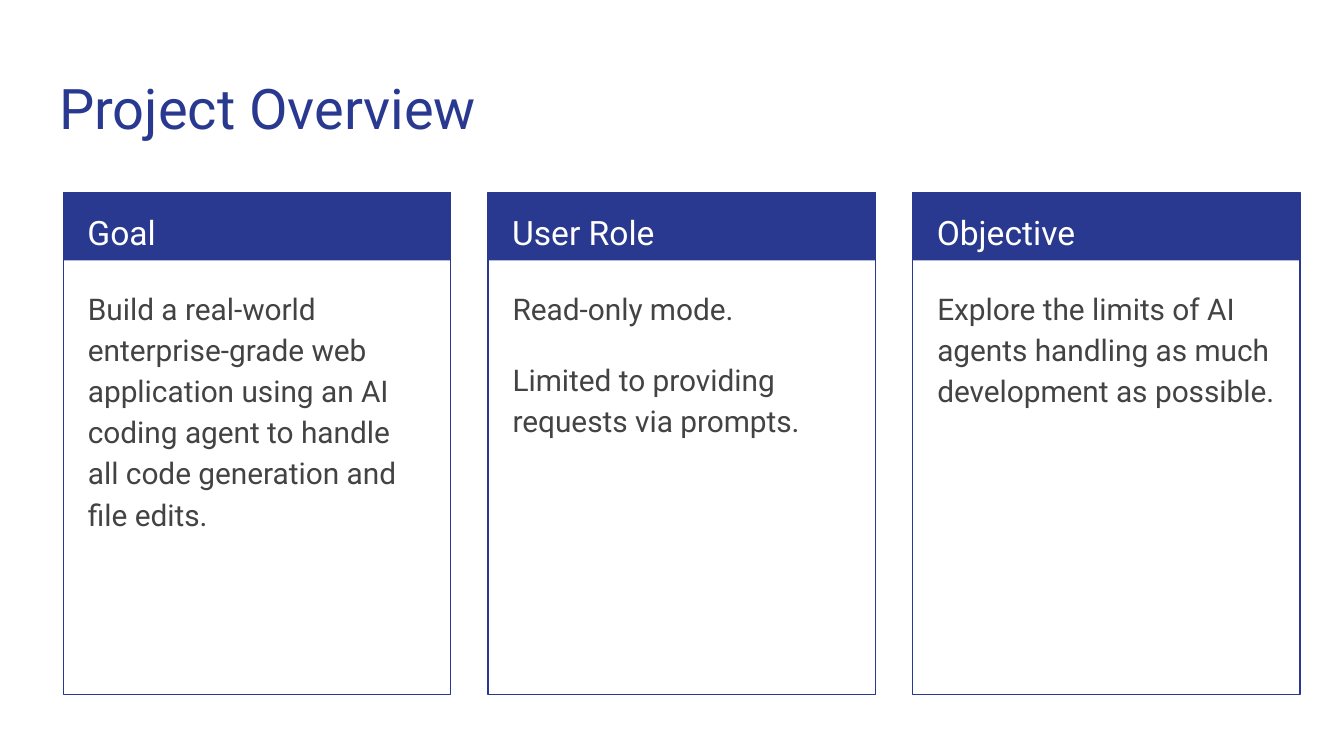
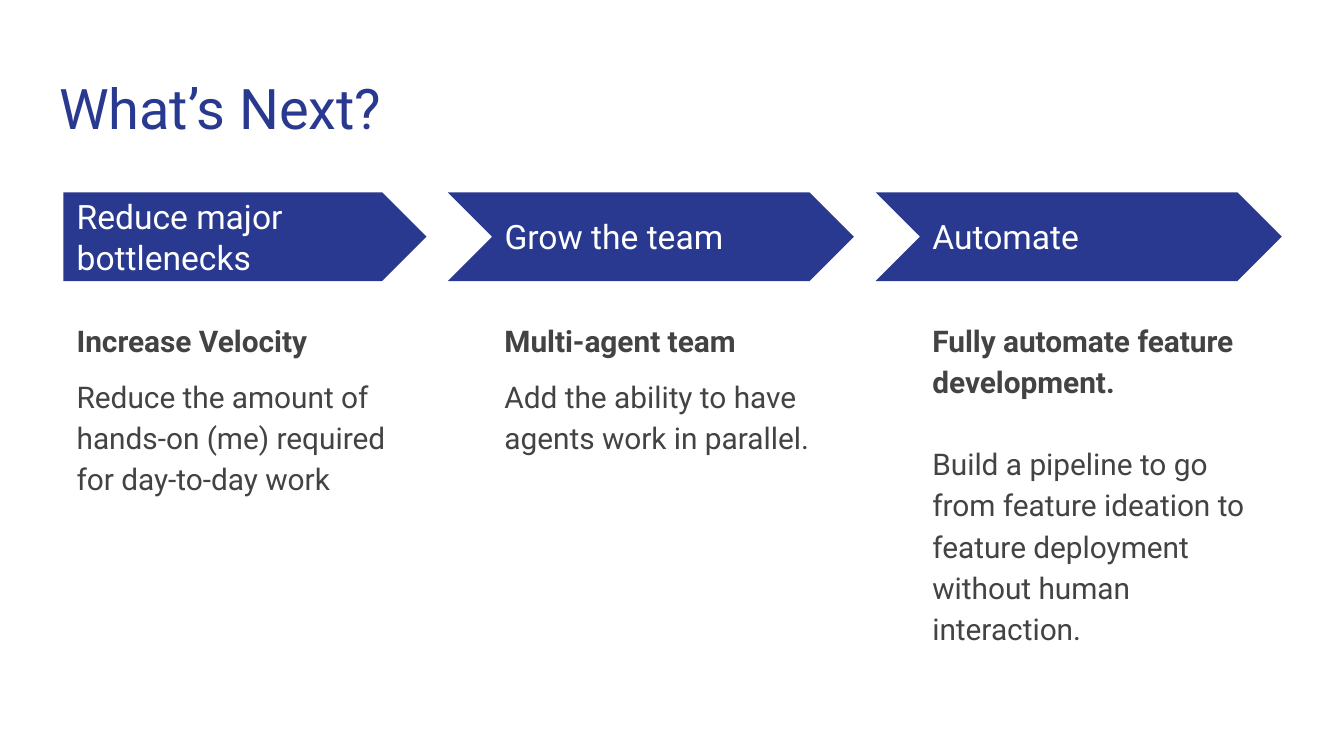
from pptx import Presentation
from pptx.dml.color import RGBColor
from pptx.enum.shapes import MSO_SHAPE as SHAPE
from pptx.enum.text import MSO_ANCHOR as ANCHOR, MSO_AUTO_SIZE as AUTO, PP_ALIGN as ALIGN
from pptx.util import Pt

NAVY = "2A3990"
GRAY = "434343"
WHITE = "FFFFFF"
FONT = "Roboto"
LEFT = 34
TOP = 103

TITLE = dict(size=30, color=NAVY, spacing=1)
CARD_HEAD = dict(size=18, color=WHITE)
STEP_HEAD = dict(size=18, color=WHITE, spacing=1)
BODY = dict(size=16, color=GRAY)

CARDS = [
    ("Goal", ["Build a real-world enterprise-grade web application using an AI "
              "coding agent to handle all code generation and file edits."]),
    ("User Role", ["Read-only mode.", "Limited to providing requests via prompts."]),
    ("Objective", ["Explore the limits of AI agents handling as much development as possible."]),
]
STEPS = [
    ("Reduce major bottlenecks", "Increase Velocity",
     "Reduce the amount of hands-on (me) required for day-to-day work", 8),
    ("Grow the team", "Multi-agent team",
     "Add the ability to have agents work in parallel.", 8),
    ("Automate", "Fully automate feature development.",
     "Build a pipeline to go from feature ideation to feature deployment "
     "without human interaction.", 22),
]


def rgb(color):
    return RGBColor.from_string(color)


def points(*lengths):
    return [Pt(length) for length in lengths]


def set_attrs(target, values):
    for name, value in values.items():
        setattr(target, name, value)


def fill_text(tf, paragraphs, size, color, spacing=1.15, anchor=ANCHOR.TOP, gap=0,
              bold_first=False):
    margins = {f"margin_{side}": Pt(7.2) for side in ("left", "top", "right", "bottom")}
    set_attrs(tf, dict(margins, word_wrap=True, auto_size=AUTO.NONE, vertical_anchor=anchor))
    for i, text in enumerate(paragraphs):
        p = tf.add_paragraph() if i else tf.paragraphs[0]
        set_attrs(p, dict(alignment=ALIGN.LEFT, line_spacing=spacing,
                          space_before=Pt(gap if i else 0), space_after=Pt(0)))
        r = p.add_run()
        r.text = text
        set_attrs(r.font, dict(name=FONT, size=Pt(size), bold=bold_first and i == 0))
        r.font.color.rgb = rgb(color)


def add_text(s, box, paragraphs, **style):
    fill_text(s.shapes.add_textbox(*points(*box)).text_frame, paragraphs, **style)


def add_block(s, kind, box, fill=None, line=None):
    sp = s.shapes.add_shape(kind, *points(*box))
    sp.shadow.inherit = False
    if fill:
        sp.fill.solid()
        sp.fill.fore_color.rgb = rgb(fill)
    else:
        sp.fill.background()
    if line:
        sp.line.color.rgb = rgb(line)
        sp.line.width = Pt(0.75)
    else:
        sp.line.fill.background()


def add_titled_slide(prs, title):
    s = prs.slides.add_slide(prs.slide_layouts[5])
    left, top, width, height = points(24.5, 32.4, 671, 47.5)
    set_attrs(s.shapes.title, dict(left=left, top=top, width=width, height=height))
    fill_text(s.shapes.title.text_frame, [title], **TITLE)
    return s


def add_card(s, x, heading, paragraphs):
    add_block(s, SHAPE.RECTANGLE, (x, TOP, 207.5, 36.5), fill=NAVY)
    add_block(s, SHAPE.RECTANGLE, (x, TOP, 207.5, 269), line=NAVY)
    add_text(s, (x + 5.8, TOP, 196.5, 36), [heading], **CARD_HEAD)
    add_text(s, (x + 6, 145.5, 195, 220), paragraphs, gap=16, **BODY)


def add_step(s, x, first, heading, lead, detail, gap):
    if first:
        add_block(s, SHAPE.PENTAGON, (x, TOP, 194.5, 47.6), fill=NAVY)
    else:
        add_block(s, SHAPE.CHEVRON, (x - 23.3, TOP, 217.6, 47.6), fill=NAVY)
    add_text(s, (x, 114.5, 178, 24.5), [heading], anchor=ANCHOR.MIDDLE, **STEP_HEAD)
    add_text(s, (x, 162.7, 194.5, 209), [lead, detail], gap=gap, bold_first=True, **BODY)


def main():
    prs = Presentation()
    set_attrs(prs, dict(slide_width=Pt(720), slide_height=Pt(405)))

    s = add_titled_slide(prs, "Project Overview")
    for i, card in enumerate(CARDS):
        add_card(s, LEFT + i * 227.5, *card)

    s = add_titled_slide(prs, "What’s Next?")
    for i, step in enumerate(STEPS):
        add_step(s, LEFT + i * 229.2, i == 0, *step)

    prs.save("out.pptx")


if __name__ == "__main__":
    main()
